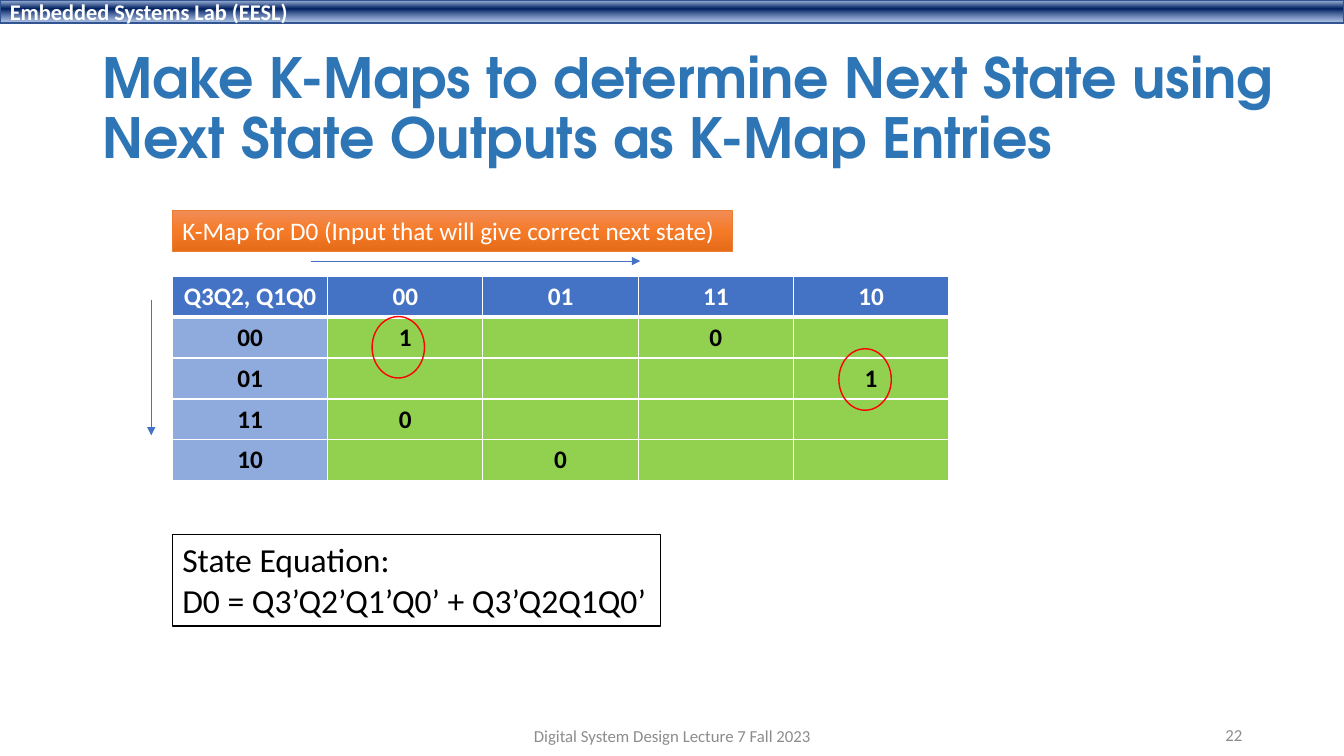
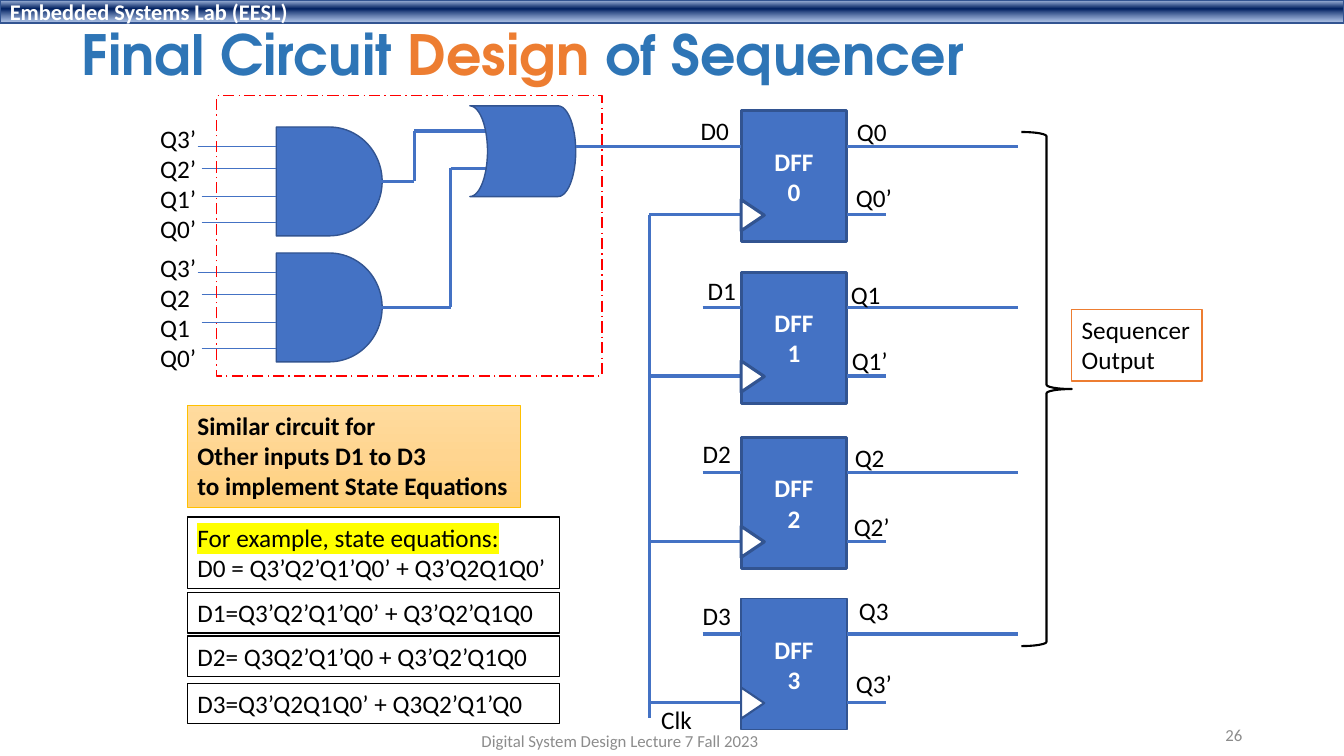
from dataclasses import dataclass
from typing import NamedTuple, Optional, Sequence, Union

from pptx import Presentation
from pptx.dml.color import RGBColor
from pptx.enum.dml import MSO_LINE
from pptx.enum.shapes import MSO_CONNECTOR, MSO_SHAPE
from pptx.enum.text import MSO_ANCHOR, MSO_AUTO_SIZE, PP_ALIGN
from pptx.oxml import parse_xml
from pptx.oxml.ns import nsdecls, qn
from pptx.shapes.autoshape import Shape
from pptx.shapes.connector import Connector
from pptx.slide import Slide
from pptx.table import _Cell
from pptx.text.text import TextFrame, _Paragraph
from pptx.util import Inches, Pt


class Box(NamedTuple):
    left: float
    top: float
    width: float
    height: float


class Point(NamedTuple):
    x: float
    y: float


class Stop(NamedTuple):
    percent: int
    color: str
    alpha: int = 100


Fill = Union[str, Sequence[Stop], None]


@dataclass(frozen=True)
class Theme:
    body_font: str = "Calibri"
    title_font: str = "TeX Gyre Adventor"
    title_size: float = 39.6
    equation_size: float = 24
    body_size: float = 18
    band_size: float = 16
    footer_size: float = 12
    title: str = "2E75B6"
    accent: str = "ED7D31"
    blue: str = "4472C4"
    outline: str = "325491"
    row_head: str = "8FAADC"
    green: str = "92D050"
    amber: str = "FFC000"
    red: str = "FF0000"
    yellow: str = "FFFF00"
    gray: str = "8C8C8C"
    black: str = "000000"
    white: str = "FFFFFF"
    wire: float = 2.25
    thin: float = 0.5
    band_fill: tuple[Stop, ...] = (
        Stop(2, "ABC0E4"), Stop(38, "002060"), Stop(93, "7E9ED6", 64))
    orange_fill: tuple[Stop, ...] = (
        Stop(0, "F18C57"), Stop(50, "F67B28"), Stop(100, "E56C19"))
    amber_fill: tuple[Stop, ...] = (
        Stop(0, "FFDB9E"), Stop(50, "FFD590"), Stop(100, "FFD07C"))


THEME = Theme()


@dataclass(frozen=True)
class Gate:
    top: float
    label_top: float
    inputs: tuple[str, ...]
    bend_x: float
    or_input_y: float


@dataclass(frozen=True)
class FlipFlop:
    signal_y: float
    d_start: float
    d_label: Point
    q_label: Point
    q_not_label: Point
    border: float = THEME.wire
    clock_border: float = THEME.wire


GATES = (
    Gate(1.26, 1.17, ("Q3’", "Q2’", "Q1’", "Q0’"), 4.11, 1.3),
    Gate(2.51, 2.45, ("Q3’", "Q2", "Q1", "Q0’"), 4.47, 1.67),
)
FLIP_FLOPS = (
    FlipFlop(1.45, 5.71, Point(6.85, 1.09), Point(8.4, 1.11), Point(8.39, 1.76)),
    FlipFlop(3.05, 6.97, Point(6.92, 2.68), Point(8.34, 2.72), Point(8.35, 3.38)),
    FlipFlop(4.69, 6.97, Point(6.87, 4.3), Point(8.38, 4.34), Point(8.37, 5.02)),
    FlipFlop(6.29, 6.97, Point(6.87, 5.91), Point(8.42, 5.86), Point(8.39, 6.58), 1, 1.5),
)
KMAP = (
    ("Q3Q2, Q1Q0", "00", "01", "11", "10"),
    ("00", "1", "", "0", ""),
    ("01", "", "", "", "1"),
    ("11", "0", "", "", ""),
    ("10", "", "0", "", ""),
)
D0_EQUATION = "D0 = Q3’Q2’Q1’Q0’ + Q3’Q2Q1Q0’"


def rgb(color: str) -> RGBColor:
    return RGBColor.from_string(color)


def inches(box: Box) -> list[Inches]:
    return [Inches(length) for length in box]


def style_paragraph(paragraph: _Paragraph, size: float, color: str, bold: bool = False,
                    align: PP_ALIGN = PP_ALIGN.LEFT, family: str = THEME.body_font) -> None:
    paragraph.alignment = align
    font = paragraph.font
    font.size, font.bold, font.name = Pt(size), bold, family
    font.color.rgb = rgb(color)


def write(frame: TextFrame, lines: Sequence[str], size: float = THEME.body_size,
          color: str = THEME.black, bold: bool = False, align: PP_ALIGN = PP_ALIGN.LEFT,
          anchor: MSO_ANCHOR = MSO_ANCHOR.TOP, fit: bool = False) -> None:
    frame.word_wrap = not fit
    frame.auto_size = MSO_AUTO_SIZE.SHAPE_TO_FIT_TEXT if fit else MSO_AUTO_SIZE.NONE
    frame.vertical_anchor = anchor
    for index, line in enumerate(lines):
        paragraph = frame.add_paragraph() if index else frame.paragraphs[0]
        paragraph.add_run().text = line
        style_paragraph(paragraph, size, color, bold, align)


def add_label(slide: Slide, box: Box, *lines: str, **style) -> None:
    write(slide.shapes.add_textbox(*inches(box)).text_frame, lines, **style)


def paint(shape: Shape, fill: Fill) -> None:
    if fill is None:
        shape.fill.background()
    elif isinstance(fill, str):
        shape.fill.solid()
        shape.fill.fore_color.rgb = rgb(fill)
    else:
        shape.fill.gradient()
        shape.fill.gradient_angle = 270
        stops = shape._element.spPr.find(qn("a:gradFill")).find(qn("a:gsLst"))
        for default_stop in list(stops):
            stops.remove(default_stop)
        for stop in fill:
            stops.append(parse_xml(
                f'<a:gs {nsdecls("a")} pos="{stop.percent * 1000}"><a:srgbClr val="{stop.color}">'
                f'<a:alpha val="{stop.alpha * 1000}"/></a:srgbClr></a:gs>'))


def add_figure(slide: Slide, kind: MSO_SHAPE, box: Box, fill: Fill = None,
               line: str = THEME.outline, width: float = 1, rotation: float = 0) -> Shape:
    shape = slide.shapes.add_shape(kind, *inches(box))
    shape.shadow.inherit = False
    shape.rotation = rotation
    paint(shape, fill)
    shape.line.color.rgb = rgb(line)
    shape.line.width = Pt(width)
    return shape


def add_note(slide: Slide, box: Box, *lines: str, fill: Fill = THEME.white,
             line: str = THEME.black, width: float = 1, **style) -> Shape:
    note = add_figure(slide, MSO_SHAPE.RECTANGLE, box, fill, line, width)
    write(note.text_frame, lines, fit=True, **style)
    return note


def add_line(slide: Slide, start: Point, end: Point, width: float = THEME.wire) -> Connector:
    line = slide.shapes.add_connector(
        MSO_CONNECTOR.STRAIGHT, *(Inches(value) for value in (*start, *end)))
    line.line.color.rgb = rgb(THEME.blue)
    line.line.width = Pt(width)
    line._element.spPr.append(parse_xml(f'<a:effectLst {nsdecls("a")}/>'))
    return line


def add_arrow(slide: Slide, start: Point, end: Point) -> None:
    arrow = add_line(slide, start, end, THEME.thin)
    arrow.line._get_or_add_ln().append(parse_xml(f'<a:tailEnd {nsdecls("a")} type="triangle"/>'))


def add_wire(slide: Slide, *corners: Point) -> None:
    for start, end in zip(corners, corners[1:]):
        add_line(slide, start, end)


def start_slide(deck: Presentation, title_box: Box, title: Sequence[tuple[str, str]],
                number: str, footer_box: Box) -> Slide:
    slide = deck.slides.add_slide(deck.slide_layouts[5])
    band = add_figure(slide, MSO_SHAPE.RECTANGLE, Box(0, 0, 13.33, 0.23), THEME.band_fill)
    write(band.text_frame, ["Embedded Systems Lab (EESL)"], THEME.band_size, THEME.white,
          bold=True, anchor=MSO_ANCHOR.MIDDLE)
    heading = slide.shapes.title
    heading.left, heading.top, heading.width, heading.height = inches(title_box)
    frame = heading.text_frame
    frame.word_wrap, frame.auto_size = True, MSO_AUTO_SIZE.NONE
    frame.vertical_anchor = MSO_ANCHOR.MIDDLE
    paragraph = frame.paragraphs[0]
    paragraph.line_spacing = 0.9
    style_paragraph(paragraph, THEME.title_size, THEME.title, True, family=THEME.title_font)
    for words, color in title:
        run = paragraph.add_run()
        run.text = words
        run.font.color.rgb = rgb(color)
    footer_style = dict(size=THEME.footer_size, color=THEME.gray, anchor=MSO_ANCHOR.MIDDLE)
    add_label(slide, Box(9.42, 7.09, 3, 0.4), number, align=PP_ALIGN.RIGHT, **footer_style)
    add_label(slide, footer_box, "Digital System Design Lecture 7 Fall 2023",
              align=PP_ALIGN.CENTER, **footer_style)
    return slide


def set_borders(cell: _Cell, top: float, bottom: float) -> None:
    properties = cell._tc.get_or_add_tcPr()
    for index, (side, width) in enumerate(zip("LRTB", (1, 1, top, bottom))):
        properties.insert(index, parse_xml(
            f'<a:ln{side} {nsdecls("a")} w="{Pt(width)}"><a:solidFill>'
            f'<a:srgbClr val="{THEME.white}"/></a:solidFill></a:ln{side}>'))


def add_kmap(slide: Slide, box: Box) -> None:
    table = slide.shapes.add_table(len(KMAP), len(KMAP[0]), *inches(box)).table
    table.horz_banding = False
    for row, entries in enumerate(KMAP):
        for column, entry in enumerate(entries):
            cell = table.cell(row, column)
            cell.fill.solid()
            cell.fill.fore_color.rgb = rgb(
                THEME.blue if row == 0 else THEME.row_head if column == 0 else THEME.green)
            set_borders(cell, 3 if row == 1 else 1, 3 if row == 0 else 1)
            paragraph = cell.text_frame.paragraphs[0]
            if entry:
                paragraph.add_run().text = entry
            style_paragraph(paragraph, THEME.body_size, THEME.black if row else THEME.white,
                            True, PP_ALIGN.CENTER)


def add_gate(slide: Slide, gate: Gate) -> None:
    add_figure(slide, MSO_SHAPE.FLOWCHART_DELAY, Box(2.74, gate.top, 1.05, 1.08), THEME.blue)
    for index, offset in enumerate((0.19, 0.41, 0.69, 0.95)):
        y = gate.top + offset
        add_line(slide, Point(2 if index else 1.96, y), Point(2.74, y), THEME.thin)
    add_label(slide, Box(1.49, gate.label_top, 0.56, 1.31), *gate.inputs, fit=True)
    output_y = gate.top + 0.54
    add_wire(slide, Point(3.78, output_y), Point(gate.bend_x, output_y),
             Point(gate.bend_x, gate.or_input_y), Point(4.82, gate.or_input_y))


def add_flip_flop(slide: Slide, index: int, flop: FlipFlop) -> None:
    y, clock_y = flop.signal_y, flop.signal_y + 0.68
    body = add_figure(slide, MSO_SHAPE.RECTANGLE, Box(7.35, y - 0.35, 1.05, 1.3),
                      THEME.blue, width=flop.border)
    write(body.text_frame, ["DFF", str(index)], color=THEME.white, bold=True,
          align=PP_ALIGN.CENTER, anchor=MSO_ANCHOR.MIDDLE)
    for start_x, end_x, wire_y in ((flop.d_start, 7.35, y), (6.44, 7.35, clock_y),
                                   (8.4, 10.1, y), (8.4, 8.79, clock_y)):
        add_line(slide, Point(start_x, wire_y), Point(end_x, wire_y))
    add_figure(slide, MSO_SHAPE.ISOSCELES_TRIANGLE, Box(7.31, clock_y - 0.11, 0.31, 0.23),
               THEME.white, width=flop.clock_border, rotation=90)
    for name, place, width in ((f"D{index}", flop.d_label, 0.49), (f"Q{index}", flop.q_label, 0.5),
                               (f"Q{index}’", flop.q_not_label, 0.56)):
        add_label(slide, Box(*place, width, 0.4), name, fit=True)


def build_kmap_slide(deck: Presentation) -> None:
    slide = start_slide(
        deck, Box(0.92, 0.23, 12.05, 1.74),
        [("Make K-Maps to determine Next State using Next State Outputs as K-Map Entries",
          THEME.title)], "22", Box(4.42, 7.1, 4.5, 0.4))
    add_kmap(slide, Box(1.71, 2.74, 7.7, 2.03))
    add_note(slide, Box(1.71, 2.09, 5.55, 0.4),
             "K-Map for D0 (Input that will give correct next state)",
             fill=THEME.orange_fill, line=THEME.accent, width=THEME.thin, color=THEME.white)
    add_note(slide, Box(1.71, 5.3, 4.84, 0.91), "State Equation:", D0_EQUATION,
             size=THEME.equation_size)
    for minterm in (Point(3.69, 3.14), Point(8.32, 3.46)):
        add_figure(slide, MSO_SHAPE.OVAL, Box(*minterm, 0.52, 0.61), line=THEME.red)
    add_arrow(slide, Point(1.5, 2.98), Point(1.5, 4.32))
    add_arrow(slide, Point(3.08, 2.59), Point(6.35, 2.59))


def build_circuit_slide(deck: Presentation) -> None:
    slide = start_slide(
        deck, Box(0.71, 0.17, 10.13, 0.81),
        [("Final Circuit ", THEME.title), ("Design ", THEME.accent),
         ("of Sequencer", THEME.title)], "26", Box(3.9, 7.19, 4.5, 0.31))
    for gate in GATES:
        add_gate(slide, gate)
    add_figure(slide, MSO_SHAPE.FLOWCHART_STORED_DATA, Box(4.66, 1.05, 1.05, 0.9),
               THEME.blue, rotation=180)
    d0_logic = add_figure(slide, MSO_SHAPE.RECTANGLE, Box(2.15, 0.95, 3.82, 2.78), line=THEME.red)
    d0_logic.line.dash_style = MSO_LINE.LONG_DASH_DOT
    for index, flop in enumerate(FLIP_FLOPS):
        add_flip_flop(slide, index, flop)
    add_line(slide, Point(6.44, 2.13), Point(6.44, 7.12))
    add_label(slide, Box(6.46, 6.94, 0.51, 0.4), "Clk", fit=True)
    add_figure(slide, MSO_SHAPE.RIGHT_BRACE, Box(10.13, 1.31, 0.5, 5.1),
               line=THEME.black, width=1.5)
    add_note(slide, Box(10.63, 3.07, 1.29, 0.71), "Sequencer", "Output", line=THEME.accent)
    add_note(slide, Box(1.86, 4.02, 3.3, 1.01), "Similar circuit for", "Other inputs D1 to D3",
             "to implement State Equations", fill=THEME.amber_fill, line=THEME.amber,
             width=THEME.thin, bold=True)
    example = add_note(slide, Box(1.86, 5.13, 3.69, 0.71),
                       "For example, state equations:", D0_EQUATION)
    lead = example.text_frame.paragraphs[0].runs[0]
    lead._r.get_or_add_rPr().append(parse_xml(
        f'<a:highlight {nsdecls("a")}><a:srgbClr val="{THEME.yellow}"/></a:highlight>'))
    for top, equation in ((5.88, "D1=Q3’Q2’Q1’Q0’ + Q3’Q2’Q1Q0"),
                          (6.31, "D2= Q3Q2’Q1’Q0 + Q3’Q2’Q1Q0"),
                          (6.78, "D3=Q3’Q2Q1Q0’ + Q3Q2’Q1’Q0")):
        add_note(slide, Box(1.86, top, 3.69, 0.4), equation)


def main() -> None:
    deck = Presentation()
    deck.slide_width, deck.slide_height = Inches(13.33), Inches(7.5)
    build_kmap_slide(deck)
    build_circuit_slide(deck)
    deck.save("out.pptx")


if __name__ == "__main__":
    main()
